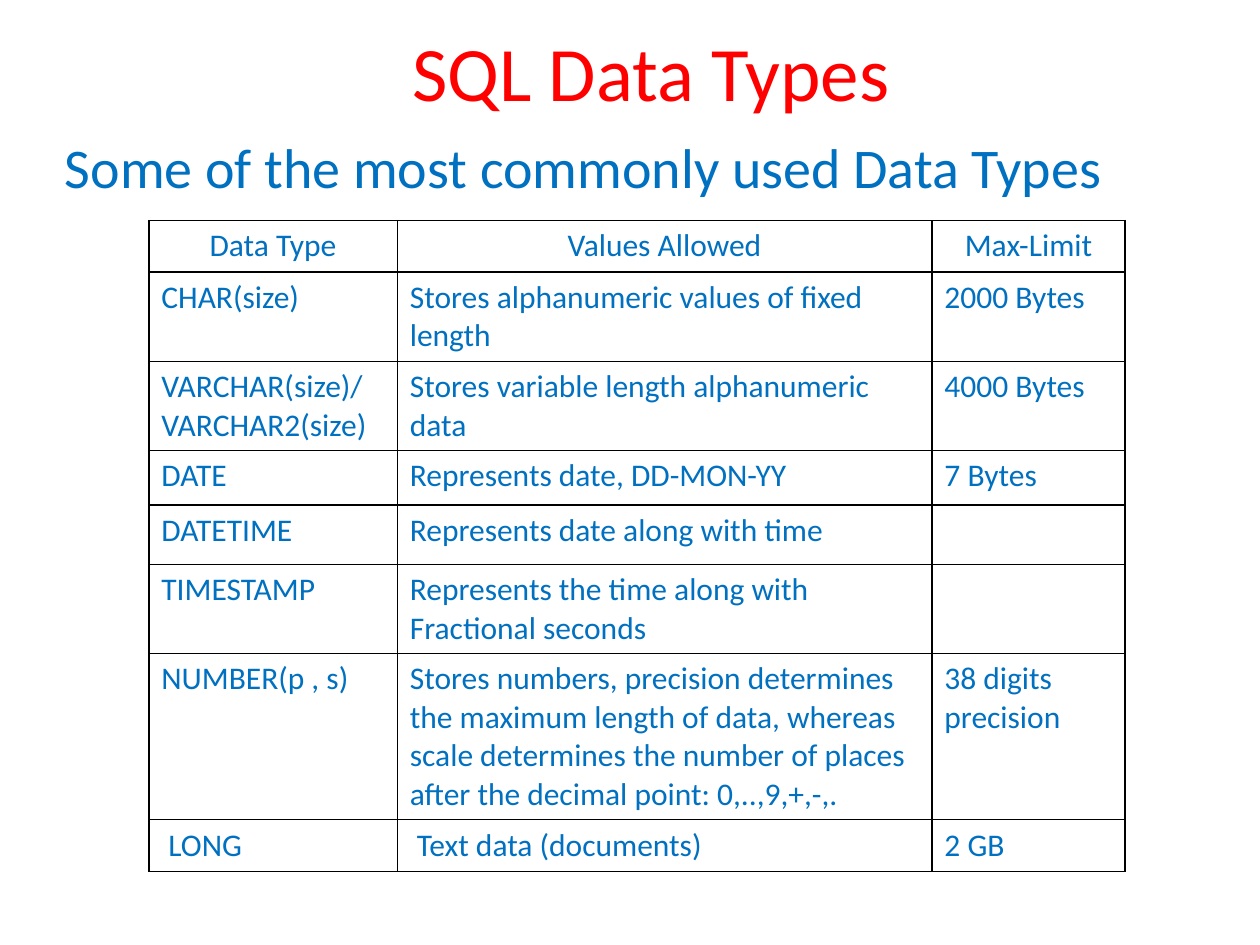
from dataclasses import dataclass

from lxml.etree import SubElement
from pptx import Presentation
from pptx.dml.color import RGBColor
from pptx.enum.text import MSO_ANCHOR as Anchor, PP_ALIGN as Align
from pptx.oxml.ns import qn
from pptx.util import Pt


@dataclass(frozen=True)
class Theme:
    font: str = "Calibri"
    title: str = "FF0000"
    body: str = "0070C0"
    border: str = "000000"
    title_size: int = 44
    lead_size: int = 32
    cell_size: int = 18
    border_width: int = 1


THEME = Theme()
COL_WIDTHS = [142, 305.5, 110.5]
ROW_HEIGHTS = [29.5, 51, 51, 31, 34, 51, 95, 29.5]
DATA_TYPES = [
    ("Data Type", "Values Allowed", "Max-Limit"),
    ("CHAR(size)", "Stores alphanumeric values of fixed length", "2000 Bytes"),
    ("VARCHAR(size)/VARCHAR2(size)", "Stores variable length alphanumeric data", "4000 Bytes"),
    ("DATE", "Represents date, DD-MON-YY", "7 Bytes"),
    ("DATETIME", "Represents date along with time", ""),
    ("TIMESTAMP", "Represents the time along with Fractional seconds", ""),
    ("NUMBER(p , s)",
     "Stores numbers, precision determines the maximum length of data, whereas scale "
     "determines the number of places after the decimal point: 0,..,9,+,-,.",
     "38 digits precision"),
    (" LONG", " Text data (documents)", "2 GB"),
]


def write(tf, text, size, color, align=Align.LEFT):
    tf.text = text
    p = tf.paragraphs[0]
    p.alignment = align
    p.font.size = Pt(size)
    for r in p.runs:
        r.font.name = THEME.font
        r.font.size = Pt(size)
        r.font.color.rgb = RGBColor.from_string(color)


def add_text(s, box, text, size, color, align=Align.LEFT, anchor=Anchor.TOP):
    tf = s.shapes.add_textbox(*map(Pt, box)).text_frame
    tf.word_wrap = True
    tf.vertical_anchor = anchor
    write(tf, text, size, color, align)


def add_borders(cell):
    tc_pr = cell._tc.get_or_add_tcPr()
    for i, side in enumerate(("lnL", "lnR", "lnT", "lnB")):
        ln = SubElement(tc_pr, qn(f"a:{side}"), w=str(Pt(THEME.border_width)))
        fill = SubElement(ln, qn("a:solidFill"))
        SubElement(fill, qn("a:srgbClr"), val=THEME.border)
        # Border lines come before the cell fill
        tc_pr.insert(i, ln)


def add_type_table(s, left, top):
    size = sum(COL_WIDTHS), sum(ROW_HEIGHTS)
    table = s.shapes.add_table(len(ROW_HEIGHTS), len(COL_WIDTHS),
                               *map(Pt, (left, top, *size))).table
    table.first_row = table.horz_banding = False
    for col, width in zip(table.columns, COL_WIDTHS):
        col.width = Pt(width)
    for i, (row, height, texts) in enumerate(zip(table.rows, ROW_HEIGHTS, DATA_TYPES)):
        row.height = Pt(height)
        align = Align.LEFT if i else Align.CENTER
        for cell, text in zip(row.cells, texts):
            write(cell.text_frame, text, THEME.cell_size, THEME.body, align)
            cell.fill.background()
            add_borders(cell)


def main():
    prs = Presentation()
    prs.slide_width, prs.slide_height = Pt(720), Pt(540)
    s = prs.slides.add_slide(prs.slide_layouts[6])

    # Heading and lead line
    add_text(s, (48, 18, 648, 45), "SQL Data Types", THEME.title_size, THEME.title,
             Align.CENTER, Anchor.MIDDLE)
    add_text(s, (30, 72, 654, 456), "Some of the most commonly used Data Types",
             THEME.lead_size, THEME.body)

    # Data types
    add_type_table(s, 85, 126)
    prs.save("out.pptx")


if __name__ == "__main__":
    main()
